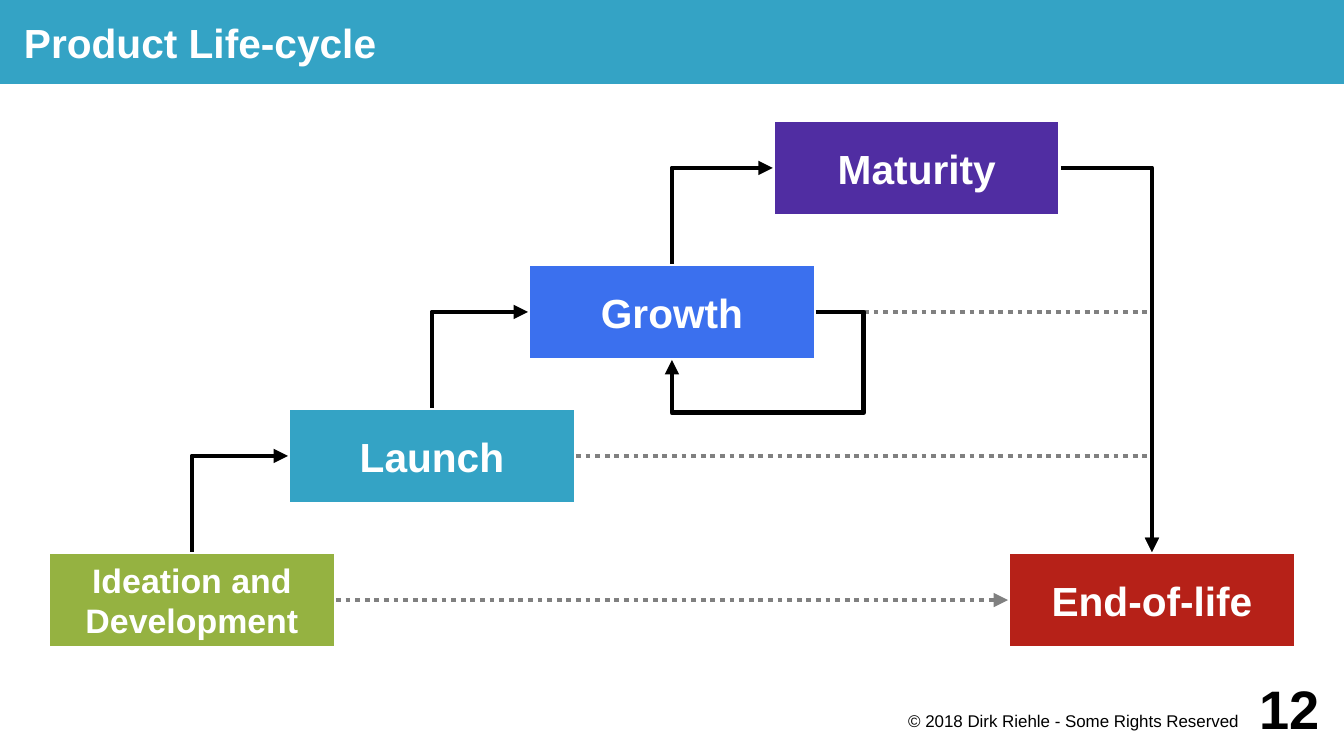
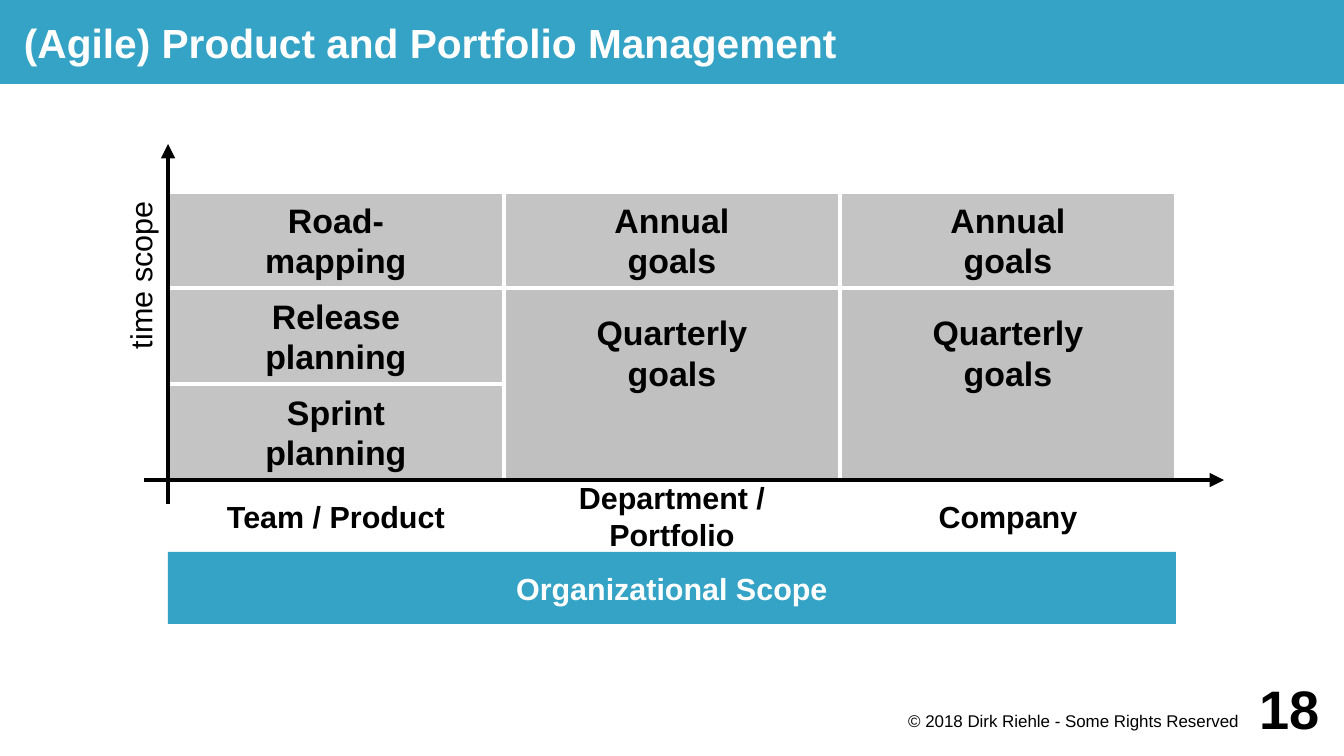
from lxml import etree
from pptx import Presentation
from pptx.dml.color import RGBColor
from pptx.enum.dml import MSO_LINE
from pptx.enum.shapes import MSO_CONNECTOR, MSO_SHAPE
from pptx.enum.text import MSO_ANCHOR, PP_ALIGN
from pptx.oxml.ns import qn
from pptx.util import Cm, Pt

# Enum members
RECT = MSO_SHAPE.RECTANGLE
STRAIGHT, ELBOW = MSO_CONNECTOR.STRAIGHT, MSO_CONNECTOR.ELBOW
DOTTED = MSO_LINE.ROUND_DOT
TOP, MIDDLE, BOTTOM = MSO_ANCHOR.TOP, MSO_ANCHOR.MIDDLE, MSO_ANCHOR.BOTTOM
LEFT, CENTER, RIGHT = PP_ALIGN.LEFT, PP_ALIGN.CENTER, PP_ALIGN.RIGHT

# Connection sites of a rectangle
SITE_TOP, SITE_LEFT, SITE_BOTTOM, SITE_RIGHT = range(4)

# Colours
WHITE = RGBColor(0xFF, 0xFF, 0xFF)
BLACK = RGBColor(0x00, 0x00, 0x00)
GRAY = RGBColor(0x80, 0x80, 0x80)
CELL = RGBColor(0xC4, 0xC4, 0xC4)
TALL_CELL = RGBColor(0xC0, 0xC0, 0xC0)
TEAL = RGBColor(0x34, 0xA3, 0xC5)
GREEN = RGBColor(0x95, 0xB2, 0x41)
BLUE = RGBColor(0x3B, 0x70, 0xEE)
PURPLE = RGBColor(0x50, 0x2D, 0xA2)
RED = RGBColor(0xB6, 0x21, 0x18)

FONT = "Arial"
LINE = Pt(2.83)
PAD = (0.2, 0.2, 0.2, 0.2)
FOOTER = "© 2018 Dirk Riehle - Some Rights Reserved"


class Deck:
    """Holds the shared style and the current slide."""

    def __init__(self):
        self.prs = Presentation()
        self.prs.slide_width, self.prs.slide_height = Cm(28), Cm(15.75)
        self.slide = None

    def new_slide(self, title, number):
        self.slide = self.prs.slides.add_slide(self.prs.slide_layouts[5])
        sp = self.slide.shapes.title
        sp.left, sp.top, sp.width, sp.height = Cm(0), Cm(0), Cm(28), Cm(1.75)
        sp.fill.solid()
        sp.fill.fore_color.rgb = TEAL
        self.fill_text(sp, title, 24, WHITE, align=LEFT, pad=(0.5, 0, 0, 0))
        self.text((18, 14.75, 8, 0.75), FOOTER, 10, bold=False, align=RIGHT,
                  anchor=TOP, pad=(0, 0.05, 0.2, 0))
        self.text((25.5, 14, 2, 1.5), str(number), 32, align=RIGHT, pad=(0, 0, 0, 0))

    def fill_text(self, sp, text, size, color, bold=True, align=CENTER,
                  anchor=MIDDLE, pad=PAD, wrap=True):
        tf = sp.text_frame
        tf.word_wrap = wrap
        tf.vertical_anchor = anchor
        tf.margin_left, tf.margin_top, tf.margin_right, tf.margin_bottom = map(Cm, pad)
        for i, line in enumerate(text.split("\n")):
            p = tf.add_paragraph() if i else tf.paragraphs[0]
            p.alignment = align
            r = p.add_run()
            r.text = line
            r.font.name, r.font.size, r.font.bold = FONT, Pt(size), bold
            r.font.color.rgb = color

    def text(self, at, text, size, color=BLACK, **style):
        sp = self.slide.shapes.add_textbox(*map(Cm, at))
        self.fill_text(sp, text, size, color, **style)
        return sp

    def box(self, at, text, size, fill, color=WHITE, border=True, **style):
        sp = self.slide.shapes.add_shape(RECT, *map(Cm, at))
        sp.shadow.inherit = False
        sp.fill.solid()
        sp.fill.fore_color.rgb = fill
        if border:
            sp.line.color.rgb, sp.line.width = WHITE, LINE
        else:
            sp.line.fill.background()
        self.fill_text(sp, text, size, color, **style)
        return sp

    def arrow(self, start=(0, 0), end=(0, 0), kind=STRAIGHT, color=BLACK):
        c = self.slide.shapes.add_connector(kind, *map(Cm, start + end))
        c.line.color.rgb, c.line.width = color, LINE
        if color == GRAY:
            c.line.dash_style = DOTTED
        spPr = c._element.spPr
        etree.SubElement(spPr.find(qn("a:ln")), qn("a:tailEnd"), type="triangle")
        etree.SubElement(spPr, qn("a:effectLst"))
        return c

    def link(self, source, out_site, target, in_site, color=BLACK,
             preset="bentConnector2", adjust=()):
        """Joins two boxes; a preset other than line is bent."""
        kind = STRAIGHT if preset == "line" else ELBOW
        c = self.arrow(kind=kind, color=color)
        c.begin_connect(source, out_site)
        c.end_connect(target, in_site)
        if kind == STRAIGHT:
            return
        spPr = c._element.spPr
        geom = spPr.find(qn("a:prstGeom"))
        geom.set("prst", preset)
        guides = geom.get_or_add_avLst()
        for i, value in enumerate(adjust, 1):
            etree.SubElement(guides, qn("a:gd"), name=f"adj{i}", fmla=f"val {value}")
        if out_site == SITE_TOP:
            # Up, then right: the frame is turned about its centre
            w, h = c.width, c.height
            c.left, c.top = c.left + (w - h) // 2, c.top + (h - w) // 2
            c.width, c.height = h, w
            xfrm = spPr.find(qn("a:xfrm"))
            for name, value in (("rot", "5400000"), ("flipH", "1"), ("flipV", "1")):
                xfrm.set(name, value)


deck = Deck()

# Slide: life-cycle steps
deck.new_slide("Product Life-cycle", 12)
ideation, launch, growth, maturity, end_of_life = [
    deck.box((x, y, 6, 2), text, size, fill, wrap=False)
    for x, y, text, size, fill in (
        (1, 11.5, "Ideation and\nDevelopment", 20, GREEN),
        (6, 8.5, "Launch", 24, TEAL),
        (11, 5.5, "Growth", 24, BLUE),
        (16.1, 2.5, "Maturity", 24, PURPLE),
        (21, 11.5, "End-of-life", 24, RED),
    )
]
steps = [ideation, launch, growth, maturity]
for step, following in zip(steps, steps[1:]):
    deck.link(step, SITE_TOP, following, SITE_LEFT)

# Early and regular ways to the end of life
deck.link(ideation, SITE_RIGHT, end_of_life, SITE_LEFT, GRAY, preset="line")
for step, color in ((launch, GRAY), (growth, GRAY), (maturity, BLACK)):
    deck.link(step, SITE_RIGHT, end_of_life, SITE_TOP, color)

# Growth repeats
deck.link(growth, SITE_RIGHT, growth, SITE_BOTTOM,
          preset="bentConnector4", adjust=(-33333, 210000))

# Slide: planning grid
deck.new_slide("(Agile) Product and Portfolio Management", 18)
GRID_X, GRID_Y, COL, ROW = 3.5, 4, 7, 2
AXIS_Y = GRID_Y + 3 * ROW
columns = (
    ("Team / Product", ("Road-\nmapping", "Release\nplanning", "Sprint\nplanning")),
    ("Department / Portfolio", ("Annual\ngoals", "Quarterly\ngoals")),
    ("Company", ("Annual\ngoals", "Quarterly\ngoals")),
)
for col, (scope, plans) in enumerate(columns):
    x = GRID_X + col * COL
    for row, plan in enumerate(plans):
        y = GRID_Y + row * ROW
        if plan.startswith("Quarterly"):
            deck.box((x, y, COL, 2 * ROW), plan, 20, TALL_CELL, BLACK,
                     anchor=TOP, pad=(0.2, 0.5, 0.2, 0.2), wrap=False)
        else:
            deck.box((x, y, COL, ROW), plan, 20, CELL, BLACK, wrap=False)
    deck.text((x, AXIS_Y, COL, 1.5), scope, 18, wrap=False)

# Axes
deck.arrow((GRID_X, AXIS_Y + 0.5), (GRID_X, 3))
deck.arrow((GRID_X - 0.5, AXIS_Y), (25.5, AXIS_Y))
time_label = deck.text((1, 5.5, 4, 1), "time scope", 18, bold=False,
                       align=RIGHT, anchor=BOTTOM)
time_label.rotation = 270
deck.box((GRID_X, AXIS_Y + 1.5, 3 * COL, 1.5), "Organizational Scope", 18, TEAL,
         border=False)

deck.prs.save("out.pptx")
